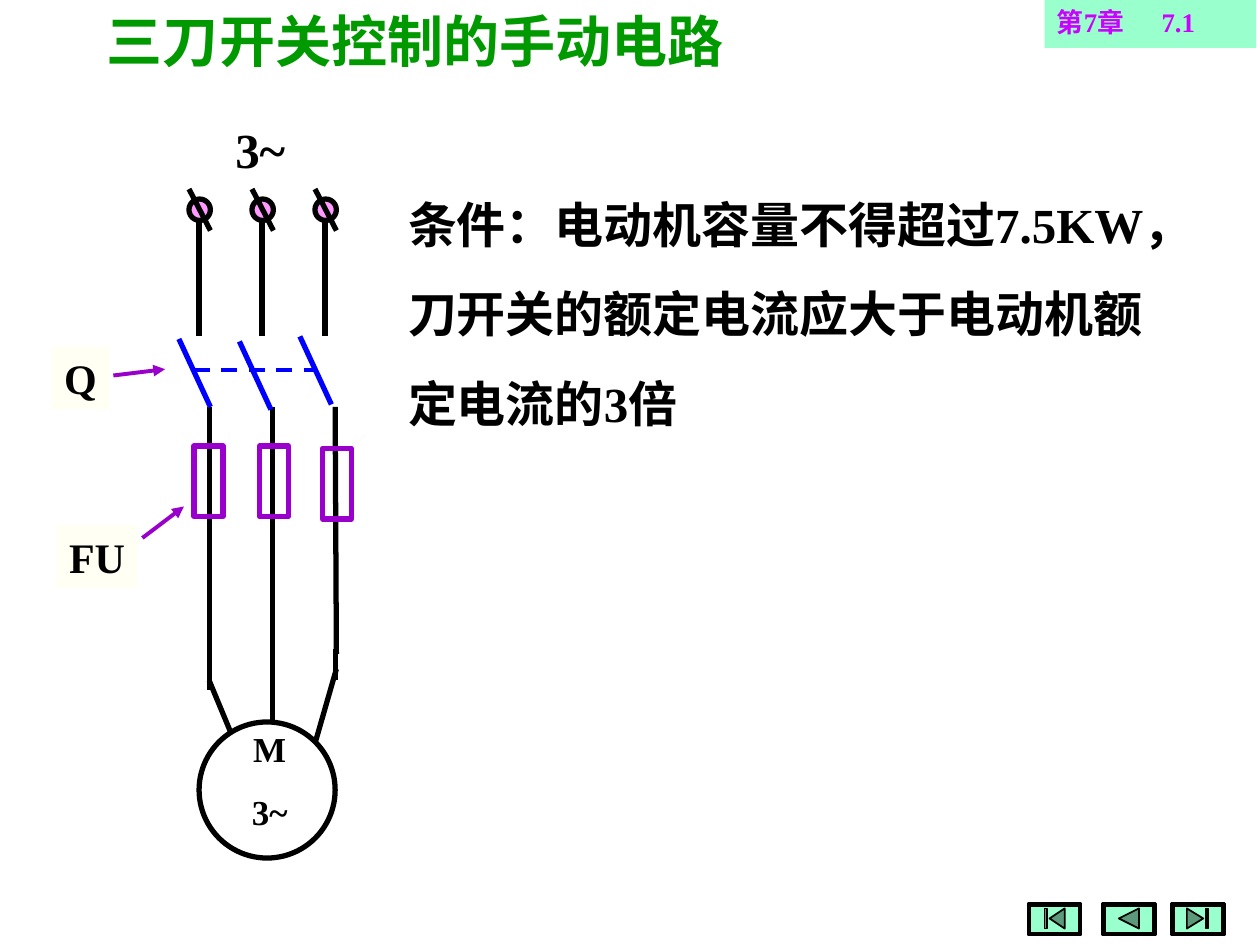
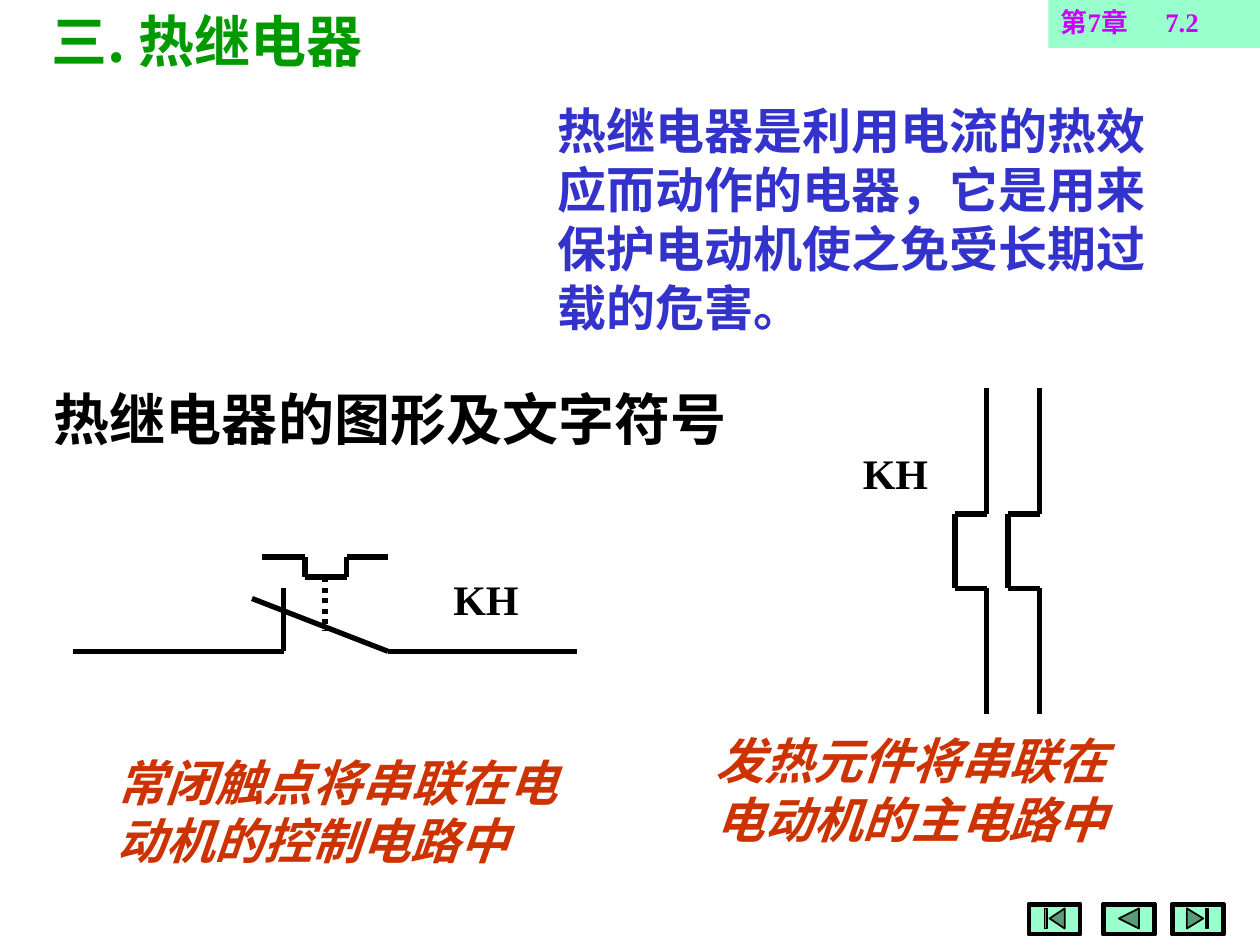
from dataclasses import dataclass
from itertools import pairwise

from lxml.etree import SubElement
from pptx import Presentation
from pptx.dml.color import RGBColor
from pptx.enum.dml import MSO_LINE_DASH_STYLE as DASH
from pptx.enum.shapes import MSO_CONNECTOR, MSO_SHAPE as SHAPE
from pptx.enum.text import MSO_ANCHOR as ANCHOR, MSO_AUTO_SIZE as AUTO, PP_ALIGN as ALIGN
from pptx.oxml.ns import qn
from pptx.util import Inches, Pt


@dataclass(frozen=True)
class Theme:
    latin: str = "Times New Roman"
    cjk: str = "Noto Sans CJK SC"
    black: str = "000000"
    title: str = "009900"
    band: str = "99FFCC"
    chapter: str = "CC00FF"
    icon: str = "5C997A"
    terminal: str = "FF99FF"
    label: str = "FFFFF3"
    fuse: str = "9900CC"
    switch: str = "0000FF"
    body: str = "3333CC"
    note: str = "CC3300"
    title_size: float = 32
    body_size: float = 28
    label_size: float = 24
    motor_size: float = 20
    chapter_size: float = 15.3
    wire_width: float = 3
    thin_width: float = 2.25
    frame_width: float = 1.5
    icon_width: float = 1


T = Theme()


def rgb(value):
    return RGBColor.from_string(value)


def style(sp, fill=None, line=None, width=T.wire_width):
    sp.shadow.inherit = False
    if fill:
        sp.fill.solid()
        sp.fill.fore_color.rgb = rgb(fill)
    else:
        sp.fill.background()
    if line:
        sp.line.color.rgb = rgb(line)
        sp.line.width = Pt(width)
    else:
        sp.line.fill.background()
    return sp


def draw(s, kind, box, **look):
    return style(s.shapes.add_shape(kind, *map(Inches, box)), **look)


def polygon(s, points, **look):
    first, *rest = [(Inches(x), Inches(y)) for x, y in points]
    builder = s.shapes.build_freeform(*first)
    builder.add_line_segments(rest, close=True)
    return style(builder.convert_to_shape(), **look)


def wire(s, points, color=T.black, width=T.wire_width, dash=None, arrow=False):
    for start, end in pairwise(points):
        c = s.shapes.add_connector(MSO_CONNECTOR.STRAIGHT, *map(Inches, (*start, *end)))
        c.line.color.rgb = rgb(color)
        c.line.width = Pt(width)
        if dash:
            c.line.dash_style = dash
        if arrow:
            SubElement(c.line._get_or_add_ln(), qn("a:tailEnd"), type="triangle")
        SubElement(c._element.spPr, qn("a:effectLst"))


def add_run(p, text, font, size, color, italic):
    r = p.add_run()
    r.text = text
    values = {"name": font, "size": Pt(size), "bold": True, "italic": italic}
    for name, value in values.items():
        setattr(r.font, name, value)
    r.font.color.rgb = rgb(color)
    SubElement(r._r.get_or_add_rPr(), qn("a:ea"), typeface=T.cjk)


def write(s, box, lines, size, color=T.black, fill=None, align=ALIGN.LEFT, gap=0,
          wrap=True, anchor=ANCHOR.TOP, grow=True, italic=False, tab=None, side=0.1):
    sp = s.shapes.add_textbox(*map(Inches, box))
    if fill:
        sp.fill.solid()
        sp.fill.fore_color.rgb = rgb(fill)
    tf = sp.text_frame
    frame = {"word_wrap": wrap, "vertical_anchor": anchor,
             "margin_left": Inches(side), "margin_right": Inches(side),
             "auto_size": AUTO.SHAPE_TO_FIT_TEXT if grow else AUTO.NONE}
    for name, value in frame.items():
        setattr(tf, name, value)
    for i, runs in enumerate(lines):
        p = tf.paragraphs[0] if i == 0 else tf.add_paragraph()
        p.alignment = align
        if i:
            p.space_before = Pt(gap)
        if tab:
            stops = SubElement(p._p.get_or_add_pPr(), qn("a:tabLst"))
            SubElement(stops, qn("a:tab"), pos=str(Inches(tab)), algn="l")
        for text, font in zip(runs, (T.latin, T.cjk)):
            add_run(p, text, font, size, color, italic)


def tag(s, box, text, size=T.label_size, fill=None):
    write(s, box, [(text,)], size, fill=fill, align=ALIGN.CENTER,
          anchor=ANCHOR.MIDDLE, grow=False, side=0)


def title(s, x, width, *runs):
    write(s, (x, 0, width, 0.64), [runs], T.title_size, T.title)


def chapter_band(s, x, section):
    write(s, (x, 0, 1.68, 0.38), [(f"第7章\t{section}",)], T.chapter_size, T.chapter,
          fill=T.band, grow=False, tab=0.83)


def nav_button(s, x, y, tip, base, bar=None):
    frame = draw(s, SHAPE.BEVEL, (x, y, 0.42, 0.25), fill=T.band,
                 line=T.black, width=T.frame_width)
    frame.adjustments[0] = 0.06
    look = {"fill": T.icon, "line": T.black, "width": T.icon_width}
    polygon(s, [(x + tip, y + 0.12), (x + base, y + 0.04), (x + base, y + 0.2)], **look)
    if bar:
        draw(s, SHAPE.RECTANGLE, (x + bar, y + 0.04, 0.02, 0.16), **look)


def navigation(s, x=8.16, y=7.17):
    nav_button(s, x, y, 0.17, 0.29, 0.13)
    nav_button(s, x + 0.59, y, 0.13, 0.29)
    nav_button(s, x + 1.14, y, 0.25, 0.12, 0.27)


def supply(s, x, y, pitch=0.5):
    tag(s, (x + 0.27, y - 0.6, 0.59, 0.57), "3~", T.body_size)
    for i in range(3):
        left = x + i * pitch
        draw(s, SHAPE.OVAL, (left, y + 0.08, 0.17, 0.17), fill=T.terminal, line=T.black)
        wire(s, [(left, y), (left + 0.17, y + 0.33)])
        wire(s, [(left + 0.08, y + 0.25), (left + 0.08, y + 1.17)])


def knife_switch(s, x, y):
    tag(s, (x, y + 0.08, 0.46, 0.5), "Q", fill=T.label)
    for i, top in enumerate((0.02, 0.04, 0)):
        left = x + 1.01 + i * 0.48
        wire(s, [(left, y + top), (left + 0.25, y + top + 0.54)], T.switch)
    wire(s, [(x + 1.13, y + 0.27), (x + 2.09, y + 0.27)], T.switch, T.thin_width, DASH.DASH)
    wire(s, [(x + 0.49, y + 0.31), (x + 0.9, y + 0.26)], T.fuse, T.thin_width, arrow=True)


def motor_feed(s, x, y, pitch=0.5):
    middle, right = x + pitch, x + 2 * pitch
    wire(s, [(x, y), (x, y + 2.25)])
    wire(s, [(x, y + 2.17), (x + 0.17, y + 2.58)])
    wire(s, [(middle, y), (middle, y + 2.5)])
    wire(s, [(right, y), (right + 0.01, y + 1.96)])
    wire(s, [(right, y + 1.92), (right, y + 2.17)])
    wire(s, [(right + 0.01, y + 2.08), (right - 0.16, y + 2.67)])


def fuses(s, x, y):
    for dx, dy in ((0, 0), (0.52, 0), (1.02, 0.02)):
        draw(s, SHAPE.RECTANGLE, (x + dx, y + dy, 0.23, 0.56), line=T.fuse)
    tag(s, (x - 1.09, y + 0.63, 0.64, 0.5), "FU", fill=T.label)
    wire(s, [(x - 0.41, y + 0.73), (x - 0.08, y + 0.48)], T.fuse, T.thin_width, arrow=True)


def motor(s, x, y):
    draw(s, SHAPE.OVAL, (x, y, 1.08, 1.08), line=T.black)
    write(s, (x + 0.17, y - 0.01, 0.78, 0.94), [("M",), ("3~",)], T.motor_size,
          align=ALIGN.CENTER, gap=12.5, anchor=ANCHOR.MIDDLE)


def heating_element(s, x, y):
    for left in (x, x + 0.42):
        right = left + 0.25
        wire(s, [(right, y), (right, y + 1), (left, y + 1),
                 (left, y + 1.59), (right, y + 1.59), (right, y + 2.59)])
    write(s, (x - 0.83, y + 0.42, 0.83, 0.5), [("KH",)], T.label_size)


def closed_contact(s, x, y):
    wire(s, [(x, y + 0.75), (x + 1.67, y + 0.75), (x + 1.67, y + 0.25)])
    wire(s, [(x + 4, y + 0.75), (x + 2.5, y + 0.75), (x + 1.42, y + 0.33)])
    wire(s, [(x + 1.5, y), (x + 1.84, y), (x + 1.84, y + 0.16),
             (x + 2.17, y + 0.16), (x + 2.17, y), (x + 2.5, y)])
    wire(s, [(x + 2, y + 0.16), (x + 2, y + 0.58)], dash=DASH.ROUND_DOT)
    write(s, (x + 2.92, y + 0.08, 0.83, 0.5), [("KH",)], T.label_size)


def note(s, box, text):
    write(s, box, [(text,)], T.body_size, T.note, italic=True)


def manual_circuit_slide(s):
    title(s, 0.75, 5.98, "三刀", "开关控制的手动电路")
    motor(s, 1.58, 5.73)
    motor_feed(s, 1.66, 3.23)
    supply(s, 1.5, 1.5)
    fuses(s, 1.54, 3.54)
    knife_switch(s, 0.41, 2.67)
    conditions = ("条件：电动机容量不得超过7.5KW，", "刀开关的额定电流应大于电动机额", "定电流的3倍")
    write(s, (3.14, 1.49, 6.61, 1.99), [(line,) for line in conditions], T.body_size,
          gap=17.5, wrap=False, anchor=ANCHOR.MIDDLE)
    chapter_band(s, 8.29, "7.1")
    navigation(s)


def thermal_relay_slide(s):
    title(s, 0.31, 3.42, "三", ". 热继电器")
    write(s, (4.33, 0.75, 5.17, 1.97),
          [("热继电器是利用电流的热效应而动作的电器，它是用来保护电动机使之免受长期过载的危害。",)],
          T.body_size, T.body)
    write(s, (0.33, 3, 6.42, 0.64), [("热继电器的图形及文字符号",)], T.title_size)
    heating_element(s, 7.58, 3.08)
    note(s, (5.58, 5.75, 3.67, 1.04), "发热元件将串联在电动机的主电路中")
    closed_contact(s, 0.58, 4.42)
    note(s, (0.83, 5.92, 3.92, 1.04), "常闭触点将串联在电动机的控制电路中")
    navigation(s)
    chapter_band(s, 8.32, "7.2")


def main():
    prs = Presentation()
    prs.slide_width, prs.slide_height = Inches(10), Inches(7.5)
    for build in (manual_circuit_slide, thermal_relay_slide):
        build(prs.slides.add_slide(prs.slide_layouts[6]))
    prs.save("out.pptx")


if __name__ == "__main__":
    main()
